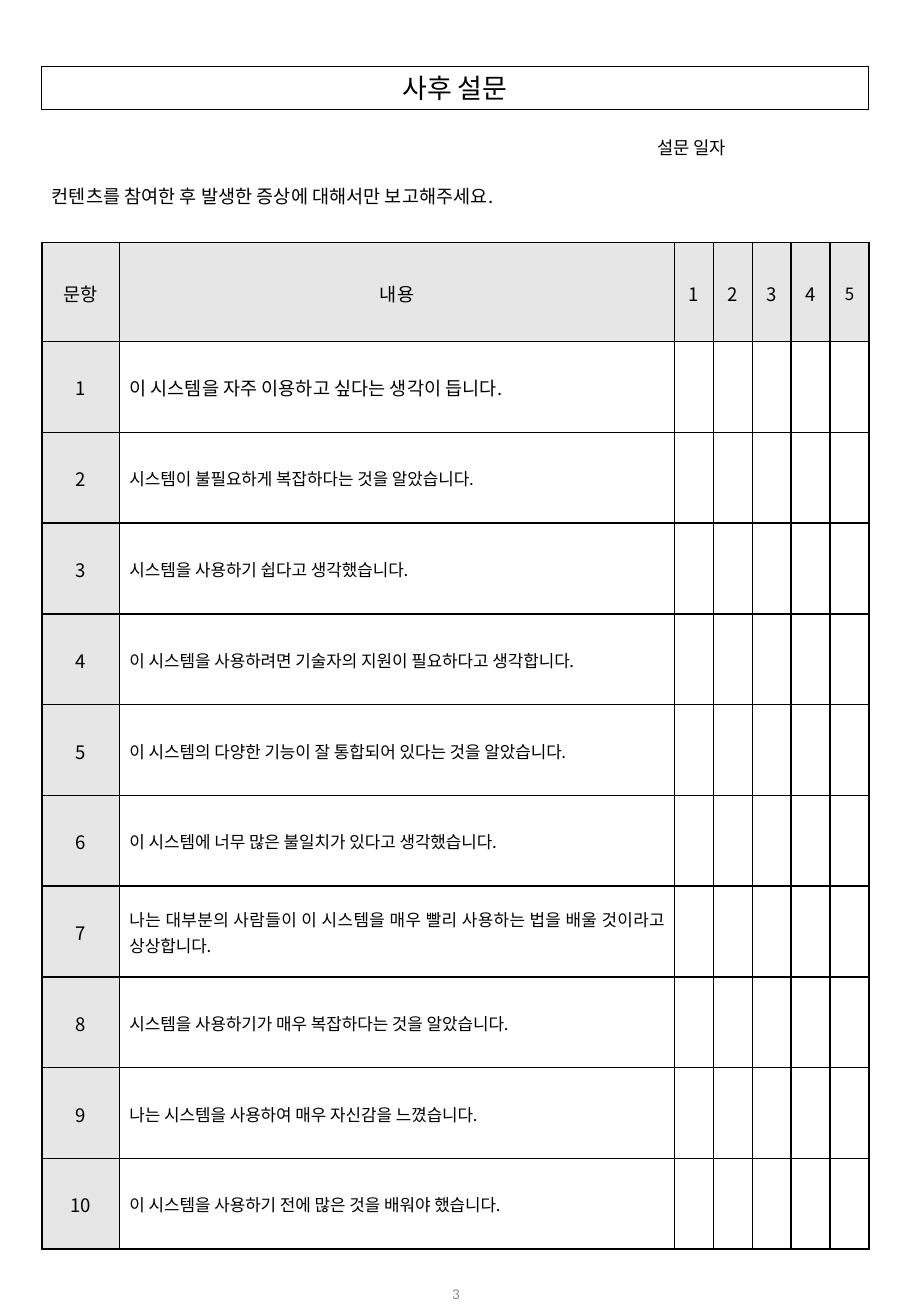
from lxml.etree import SubElement
from pptx import Presentation
from pptx.dml.color import RGBColor
from pptx.enum.shapes import MSO_SHAPE as Shape
from pptx.enum.text import MSO_ANCHOR as Anchor, MSO_AUTO_SIZE as AutoSize, PP_ALIGN as Align
from pptx.oxml.ns import qn
from pptx.util import Pt

KOREAN = "Noto Sans CJK KR"
BLACK = "000000"
SHADE = "E7E6E6"
HEADINGS = ["문항", "내용", "1", "2", "3", "4", "5"]
STATEMENTS = [
    "이 시스템을 자주 이용하고 싶다는 생각이 듭니다.",
    "시스템이 불필요하게 복잡하다는 것을 알았습니다.",
    "시스템을 사용하기 쉽다고 생각했습니다.",
    "이 시스템을 사용하려면 기술자의 지원이 필요하다고 생각합니다.",
    "이 시스템의 다양한 기능이 잘 통합되어 있다는 것을 알았습니다.",
    "이 시스템에 너무 많은 불일치가 있다고 생각했습니다.",
    "나는 대부분의 사람들이 이 시스템을 매우 빨리 사용하는 법을 배울 것이라고 상상합니다.",
    "시스템을 사용하기가 매우 복잡하다는 것을 알았습니다.",
    "나는 시스템을 사용하여 매우 자신감을 느꼈습니다.",
    "이 시스템을 사용하기 전에 많은 것을 배워야 했습니다.",
]


def color(value):
    return RGBColor.from_string(value)


def write(paragraph, text, size, align=Align.LEFT, font=KOREAN, ink=BLACK):
    paragraph.text = text
    paragraph.alignment = align
    paragraph.font.size = Pt(size)
    paragraph.font.color.rgb = color(ink)
    paragraph.font.name = font
    properties = paragraph._p.pPr.find(qn("a:defRPr"))
    SubElement(properties, qn("a:ea")).set("typeface", font)


def set_frame(frame, wrap):
    frame.word_wrap = wrap
    frame.auto_size = AutoSize.SHAPE_TO_FIT_TEXT
    frame.vertical_anchor = Anchor.MIDDLE
    frame.margin_left = frame.margin_right = Pt(5.76)
    frame.margin_top = frame.margin_bottom = Pt(2.88)


def add_title(slide, left, top, width, height):
    shape = slide.shapes.add_shape(
        Shape.RECTANGLE, Pt(left), Pt(top), Pt(width), Pt(height))
    shape.shadow.inherit = False
    shape.fill.background()
    shape.line.color.rgb = color(BLACK)
    shape.line.width = Pt(0.75)
    set_frame(shape.text_frame, True)
    write(shape.text_frame.paragraphs[0], "사후 설문", 16, Align.CENTER)


def add_label(slide, left, top, width, height, text, size):
    box = slide.shapes.add_textbox(Pt(left), Pt(top), Pt(width), Pt(height))
    set_frame(box.text_frame, False)
    write(box.text_frame.paragraphs[0], text, size)


def add_page_number(slide, left, top, width, height):
    box = slide.shapes.add_textbox(Pt(left), Pt(top), Pt(width), Pt(height))
    box.text_frame.word_wrap = True
    box.text_frame.vertical_anchor = Anchor.MIDDLE
    write(box.text_frame.paragraphs[0], "3", 9, Align.CENTER, "Calibri", "8C8C8C")


def style_cell(cell, shaded):
    properties = cell._tc.get_or_add_tcPr()
    for side in ("lnL", "lnR", "lnT", "lnB"):
        line = SubElement(properties, qn(f"a:{side}"), w=str(Pt(1)))
        fill = SubElement(line, qn("a:solidFill"))
        SubElement(fill, qn("a:srgbClr"), val=BLACK)
    if shaded:
        cell.fill.solid()
        cell.fill.fore_color.rgb = color(SHADE)
    else:
        cell.fill.background()


def fill_cell(cell, text, size, align):
    cell.vertical_anchor = Anchor.MIDDLE
    cell.margin_left = cell.margin_right = Pt(5.76)
    cell.margin_top = cell.margin_bottom = 0
    paragraph = cell.text_frame.paragraphs[0]
    paragraph.line_spacing = 1.07
    paragraph.space_after = Pt(8)
    write(paragraph, text, size, align)


def add_survey(slide, left, top, width, height):
    number_width, score_width, heading_height = 46, 23.1, 58.6
    score_count = len(HEADINGS) - 2
    statement_width = width - number_width - score_count * score_width
    row_height = (height - heading_height) / len(STATEMENTS)
    table = slide.shapes.add_table(
        len(STATEMENTS) + 1, len(HEADINGS),
        Pt(left), Pt(top), Pt(width), Pt(height)).table
    table.first_row = table.horz_banding = False
    widths = [number_width, statement_width] + [score_width] * score_count
    for column, column_width in zip(table.columns, widths):
        column.width = Pt(column_width)
    for index, row in enumerate(table.rows):
        row.height = Pt(row_height if index else heading_height)
        for position, cell in enumerate(row.cells):
            style_cell(cell, index == 0 or position == 0)

    for position, heading in enumerate(HEADINGS):
        size = 10 if heading == "5" else 11
        fill_cell(table.cell(0, position), heading, size, Align.CENTER)
    for number, statement in enumerate(STATEMENTS, 1):
        fill_cell(table.cell(number, 0), str(number), 11, Align.CENTER)
        size = 11 if number == 1 else 10
        fill_cell(table.cell(number, 1), statement, size, Align.JUSTIFY)


def main():
    presentation = Presentation()
    presentation.slide_width = Pt(540)
    presentation.slide_height = Pt(780)
    slide = presentation.slides.add_slide(presentation.slide_layouts[6])
    add_page_number(slide, 209.5, 752.4, 121.7, 28)
    add_title(slide, 24.5, 39.6, 490.3, 25.2)
    add_label(slide, 383.8, 77.8, 54, 18.7, "설문 일자", 10.5)
    add_survey(slide, 25, 143.8, 490.3, 596.8)
    add_label(slide, 25, 106.6, 290.2, 19.4,
              "컨텐츠를 참여한 후 발생한 증상에 대해서만 보고해주세요.", 11)
    presentation.save("out.pptx")


if __name__ == "__main__":
    main()
